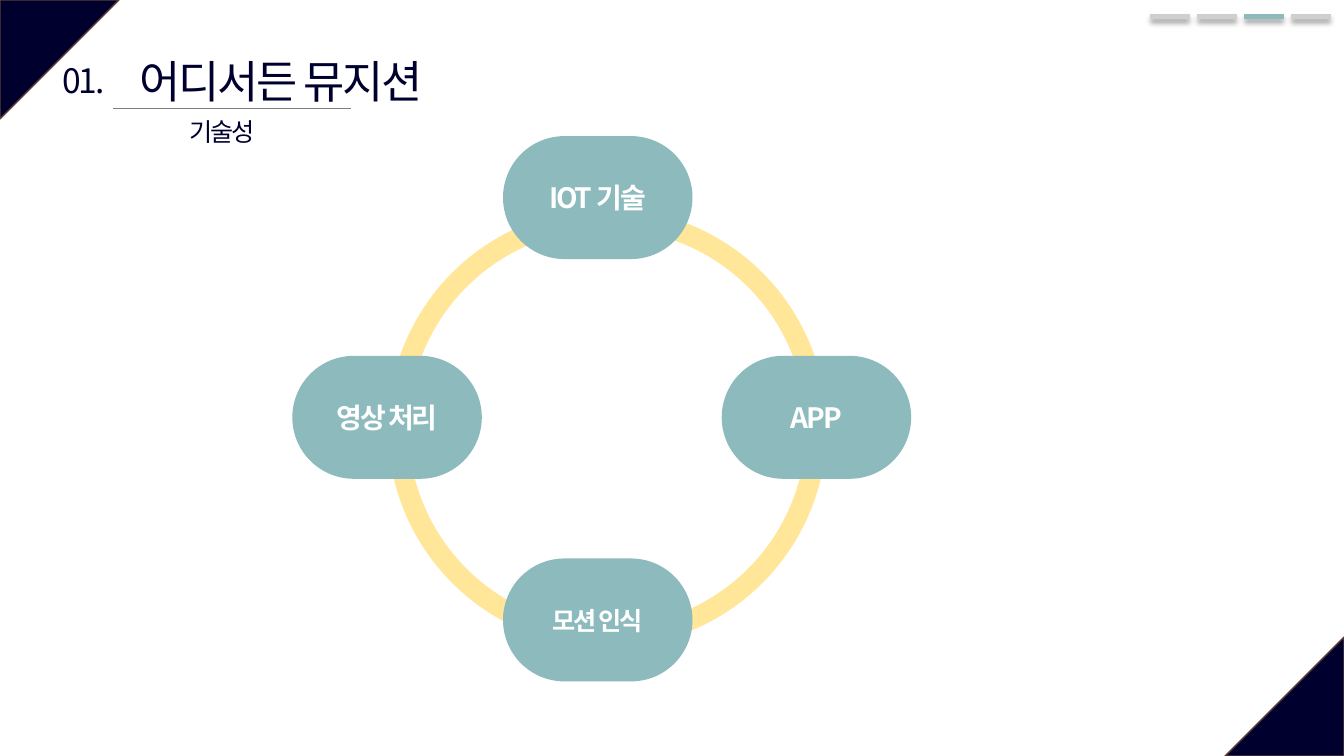
import functools
from dataclasses import dataclass

import pptx
import pptx.dml.color
import pptx.enum.shapes
import pptx.enum.text
import pptx.oxml
import pptx.oxml.ns
import pptx.util

SHAPE = pptx.enum.shapes.MSO_SHAPE
COLS, ROWS = 160, 90  # slide grid of square cells, 12 to the inch


@dataclass(frozen=True)
class Theme:
    """Colours, font and type sizes of the slide."""
    navy: str = "00002F"
    brown: str = "5B3F33"
    teal: str = "8DBABD"
    yellow: str = "FFE699"
    silver: str = "D0CECE"
    grey: str = "808080"
    white: str = "FFFFFF"
    font: str = "Noto Sans CJK KR"
    title: int = 32
    number: int = 24
    label: int = 20
    small: int = 18
    spacing: int = -150


THEME = Theme()


def cells(n):
    """Convert grid cells to a length."""
    return pptx.util.Inches(n / 12)


def rgb(color):
    """Turn a hex string into a colour."""
    return pptx.dml.color.RGBColor.from_string(color)


def add_run(p, text, size, color, bold=False):
    """Add one styled run to a centred paragraph."""
    p.alignment = pptx.enum.text.PP_ALIGN.CENTER
    r = p.add_run()
    r.text = text
    r.font.size = pptx.util.Pt(size)
    r.font.bold = bold
    r.font.name = THEME.font
    r.font.color.rgb = rgb(color)
    rPr = r.font._element
    rPr.set("spc", str(THEME.spacing))
    ea = pptx.oxml.parse_xml(
        f'<a:ea {pptx.oxml.ns.nsdecls("a")} typeface="{THEME.font}"/>')
    rPr.find(pptx.oxml.ns.qn("a:latin")).addnext(ea)


def add_shape(slide, kind, box, fill, line=None, adj=0, rotation=0):
    """Add a flat preset shape; box is left, top, width, height in cells."""
    sp = slide.shapes.add_shape(kind, *map(cells, box))
    sp.adjustments[0] = adj
    sp.rotation = rotation
    sp.shadow.inherit = False
    sp.fill.solid()
    sp.fill.fore_color.rgb = rgb(fill)
    if line:
        sp.line.color.rgb = rgb(line)
        sp.line.width = pptx.util.Pt(1)
    else:
        sp.line.fill.background()
    return sp


def add_line(slide, left, right, y, color, width, shadow=False):
    """Add a horizontal line, with a soft drop shadow if asked."""
    cxn = slide.shapes.add_connector(
        pptx.enum.shapes.MSO_CONNECTOR.STRAIGHT,
        cells(left), cells(y), cells(right), cells(y))
    cxn.line.color.rgb = rgb(color)
    cxn.line.width = pptx.util.Pt(width)
    effect = (
        '<a:outerShdw blurRad="50800" dist="38100" dir="5400000" algn="t" '
        'rotWithShape="0"><a:srgbClr val="000000"><a:alpha val="40000"/>'
        '</a:srgbClr></a:outerShdw>') if shadow else ""
    cxn._element.spPr.append(pptx.oxml.parse_xml(
        f'<a:effectLst {pptx.oxml.ns.nsdecls("a")}>{effect}</a:effectLst>'))


def add_text(slide, box, text, size):
    """Add an unwrapped navy heading text box."""
    tf = slide.shapes.add_textbox(*map(cells, box)).text_frame
    tf.word_wrap = False
    tf.auto_size = pptx.enum.text.MSO_AUTO_SIZE.SHAPE_TO_FIT_TEXT
    add_run(tf.paragraphs[0], text, size, THEME.navy)


def add_corners(slide, side=14.16):
    """Add the triangles in the top left and bottom right corners."""
    for x, y, rotation in ((0, 0, 90), (COLS - side, ROWS - side, 270)):
        add_shape(slide, SHAPE.ISOSCELES_TRIANGLE, (x, y, side, side),
                  THEME.navy, THEME.brown, rotation=rotation)


def add_progress(slide, count=4, current=2):
    """Add the section markers, the current one in teal."""
    left, pitch, length = 136.92, 5.6, 4.72
    for i in range(count):
        x = left + i * pitch
        color = THEME.teal if i == current else THEME.silver
        add_line(slide, x, x + length, 1.92, color, 3.5, shadow=True)


def add_heading(slide):
    """Add the section number, title, rule and subtitle."""
    add_line(slide, 13.44, 41.76, 12.96, THEME.grey, 0.5)
    text = functools.partial(add_text, slide)
    text((13.08, 5.76, 40.8, 7.68), "어디서든 뮤지션", THEME.title)
    text((6.12, 6.6, 7.68, 6), "01.", THEME.number)
    text((21, 13.2, 10.8, 4.8), "기술성", THEME.small)


def add_pill(slide, x, y, text, size=THEME.label):
    """Add one labelled technology pill."""
    sp = add_shape(slide, SHAPE.ROUNDED_RECTANGLE, (x, y, 22.56, 14.64),
                   THEME.teal, adj=0.5)
    tf = sp.text_frame
    tf.vertical_anchor = pptx.enum.text.MSO_ANCHOR.MIDDLE
    add_run(tf.paragraphs[0], text, size, THEME.white, bold=True)


def add_cycle(slide):
    """Add the four technology pills around their ring."""
    centre, middle = 59.88, 42.36
    add_pill(slide, centre, 16.2, "IOT 기술")
    add_pill(slide, 85.92, middle, "APP")
    add_pill(slide, centre, 66.48, "모션 인식", THEME.small)
    add_pill(slide, 34.8, middle, "영상 처리")


def main():
    """Build and save the slide."""
    prs = pptx.Presentation()
    prs.slide_width, prs.slide_height = cells(COLS), cells(ROWS)
    slide = prs.slides.add_slide(prs.slide_layouts[6])
    add_corners(slide)
    add_shape(slide, SHAPE.DONUT, (46.08, 24.72, 52.44, 52.44),
              THEME.yellow, THEME.white, adj=0.05)
    add_progress(slide)
    add_heading(slide)
    add_cycle(slide)
    prs.save("out.pptx")


main()
